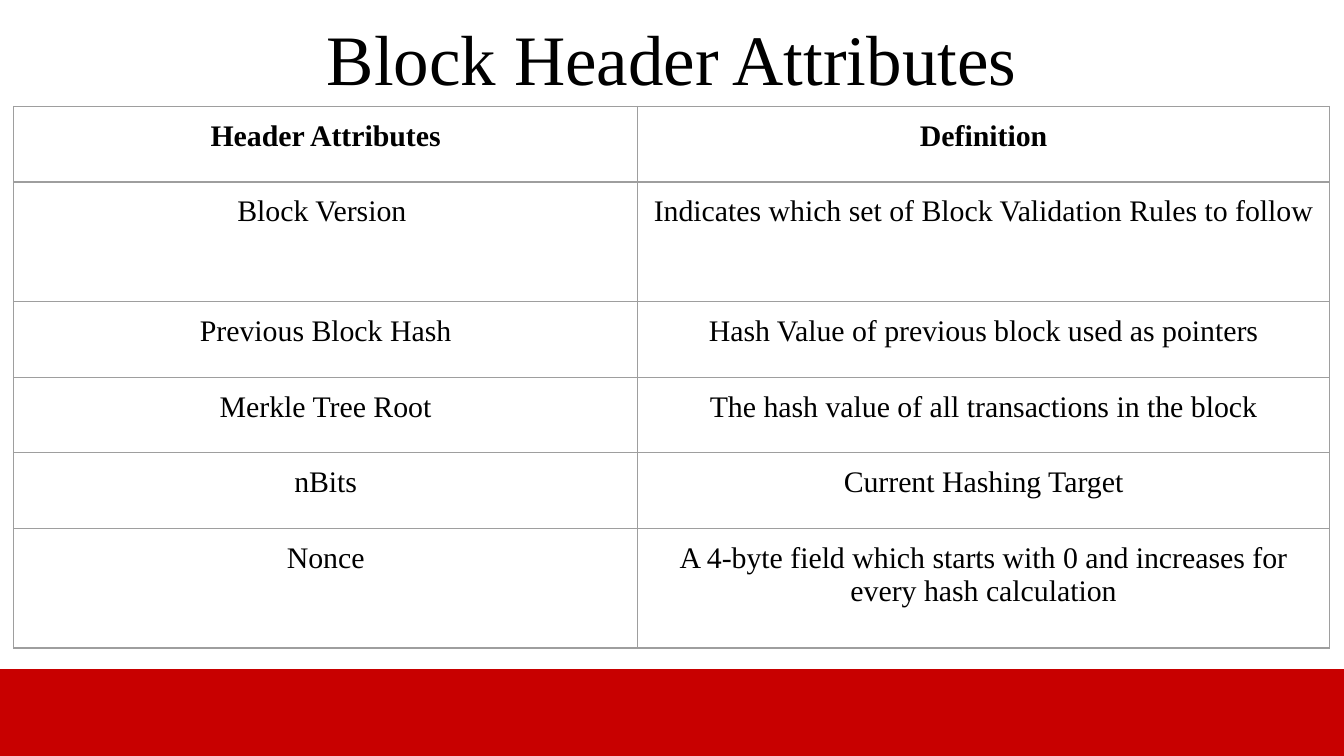
from lxml import etree
from pptx import Presentation
from pptx.dml.color import RGBColor
from pptx.enum import shapes, text
from pptx.oxml import ns
from pptx.util import Cm, Pt

# Content
TITLE = "Block Header Attributes"
ROWS = [
    ("Header Attributes", "Definition"),
    ("Block Version ", "Indicates which set of Block Validation Rules to follow"),
    ("Previous Block Hash", "Hash Value of previous block used as pointers"),
    ("Merkle Tree Root", "The hash value of all transactions in the block"),
    ("nBits", "Current Hashing Target"),
    ("Nonce", "A 4-byte field which starts with 0 and increases for every hash calculation"),
]
TALL_ROWS = (1, 5)

# Style and measures in centimetres
FONT, INK, RED, GREY = "Times New Roman", "000000", "C80000", "9E9E9E"
PAGE_WIDTH, PAGE_HEIGHT = 25.4, 14.29
BAND_HEIGHT = 1.64
COLUMN_WIDTHS = (11.79, 13.08)
ROW_HEIGHT, TALL_HEIGHT = 1.43, 2.26
INSET = Cm(0.25)


def color(value):
    return RGBColor.from_string(value)


def style_paragraph(para, size, bold=False):
    para.alignment = text.PP_ALIGN.CENTER
    para.font.name = FONT
    para.font.size = Pt(size)
    para.font.bold = bold
    para.font.color.rgb = color(INK)


def set_insets(area):
    area.margin_left = area.margin_right = INSET
    area.margin_top = area.margin_bottom = INSET


def add_borders(cell):
    props = cell._tc.get_or_add_tcPr()
    for index, side in enumerate(("lnL", "lnR", "lnT", "lnB")):
        line = etree.Element(ns.qn(f"a:{side}"), w=str(Pt(0.75)))
        fill = etree.SubElement(line, ns.qn("a:solidFill"))
        etree.SubElement(fill, ns.qn("a:srgbClr"), val=GREY)
        props.insert(index, line)


deck = Presentation()
deck.slide_width, deck.slide_height = Cm(PAGE_WIDTH), Cm(PAGE_HEIGHT)
page = deck.slides.add_slide(deck.slide_layouts[5])

# Red band along the bottom
band = page.shapes.add_shape(
    shapes.MSO_SHAPE.RECTANGLE, 0, Cm(PAGE_HEIGHT - BAND_HEIGHT),
    Cm(PAGE_WIDTH), Cm(BAND_HEIGHT))
band.shadow.inherit = False
band.fill.solid()
band.fill.fore_color.rgb = color(RED)
band.line.fill.background()

# Title
title = page.shapes.title
title.left, title.top, title.width, title.height = 0, 0, Cm(PAGE_WIDTH), Cm(2.13)
frame = title.text_frame
frame.text = TITLE
frame.word_wrap = True
frame.auto_size = text.MSO_AUTO_SIZE.NONE
frame.vertical_anchor = text.MSO_ANCHOR.BOTTOM
set_insets(frame)
style_paragraph(frame.paragraphs[0], 38)

# Attribute table
heights = [TALL_HEIGHT if i in TALL_ROWS else ROW_HEIGHT for i in range(len(ROWS))]
table = page.shapes.add_table(
    len(ROWS), len(COLUMN_WIDTHS), Cm(0.26), Cm(2.01),
    Cm(sum(COLUMN_WIDTHS)), Cm(sum(heights))).table
table.horz_banding = False
for column, width in zip(table.columns, COLUMN_WIDTHS):
    column.width = Cm(width)
for r, (row, height) in enumerate(zip(table.rows, heights)):
    row.height = Cm(height)
    for cell, words in zip(row.cells, ROWS[r]):
        cell.text = words
        set_insets(cell)
        cell.fill.background()
        add_borders(cell)
        style_paragraph(cell.text_frame.paragraphs[0], 16, bold=r == 0)

deck.save("out.pptx")
